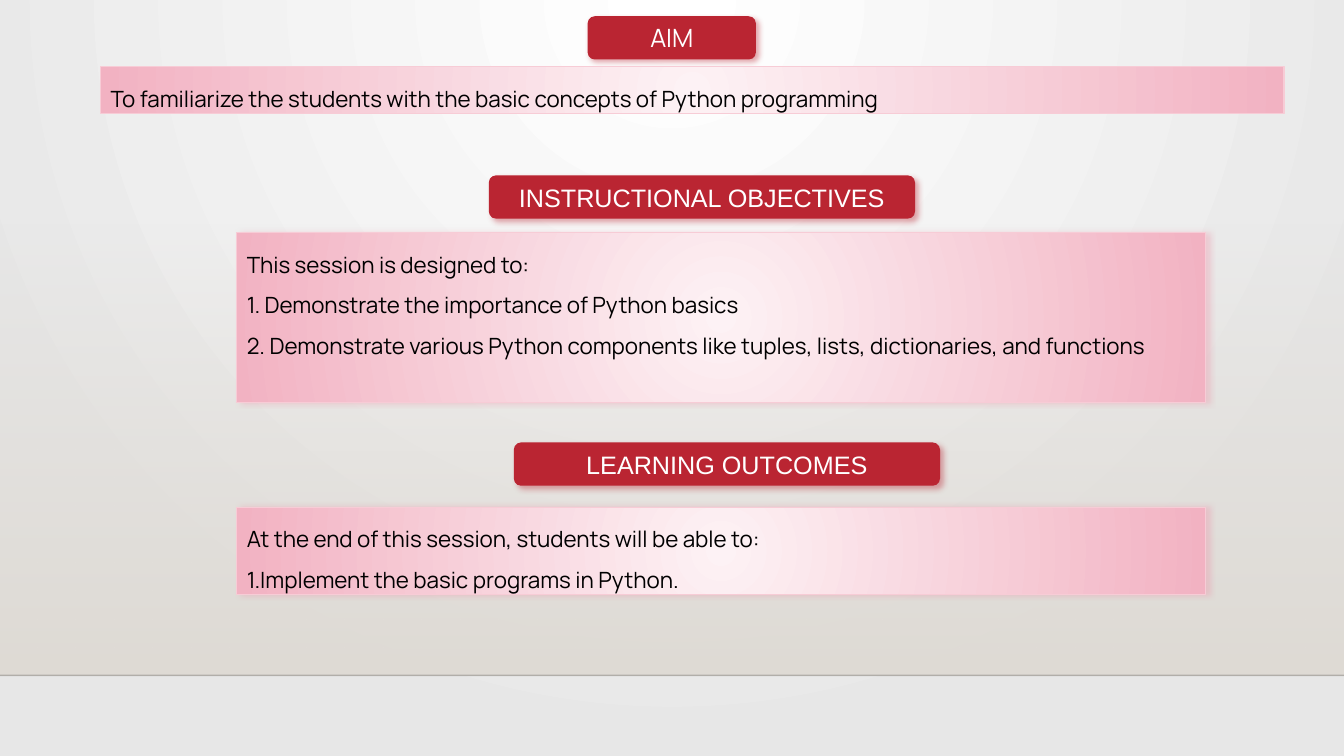
from dataclasses import dataclass
from typing import Optional

from lxml import etree
from pptx import Presentation
from pptx import util as u
from pptx.dml.color import RGBColor
from pptx.enum import shapes, text
from pptx.oxml import parse_xml
from pptx.oxml.ns import nsdecls, qn


@dataclass(frozen=True)
class Theme:
    red: str = "BA2532"
    pink_light: str = "FDF2F5"
    pink: str = "F2B2C2"
    pink_edge: str = "F7CCD6"
    pink_shadow: str = "EE99AD"
    white: str = "FFFFFF"
    black: str = "000000"
    grey: str = "E7E7E7"
    sand: str = "DFDBD5"
    floor_line: str = "000001"
    font: str = "Manrope"
    heading_size: int = 18
    body_size: int = 16


@dataclass(frozen=True)
class Box:
    left: float
    top: float
    width: float
    height: float

    def lengths(self) -> list:
        return [u.Cm(v) for v in (self.left, self.top, self.width, self.height)]


@dataclass(frozen=True)
class Section:
    heading: str
    heading_font: str
    heading_box: Box
    body_box: Box
    lines: tuple
    numbered: tuple = ()
    shadow: bool = True


THEME = Theme()
WIDTH, HEIGHT = 33.87, 19.05
FLOOR = 17.02
BAND_TOP = 5.61
CENTRE = '<a:path path="circle"><a:fillToRect l="{}" t="{}" r="{}" b="{}"/></a:path>'
DOWNWARD = '<a:lin ang="5400000" scaled="0"/>'

SECTIONS = (
    Section("AIM", THEME.font, Box(14.81, 0.41, 4.24, 1.09), Box(2.54, 1.68, 29.82, 1.19),
            ("To familiarize the students with the basic concepts of Python programming",),
            shadow=False),
    Section("INSTRUCTIONAL OBJECTIVES", "Arial",
            Box(12.32, 4.42, 10.74, 1.09), Box(5.97, 5.87, 24.41, 4.27),
            ("This session is designed to:",
             "1. Demonstrate the importance of Python basics",
             "2. Demonstrate various Python components like tuples, lists, "
             "dictionaries, and functions")),
    Section("LEARNING OUTCOMES", "Arial",
            Box(12.95, 11.15, 10.74, 1.09), Box(5.97, 12.78, 24.41, 2.21),
            ("At the end of this session, students will be able to:",),
            numbered=("Implement the basic programs in Python.",)),
)


def rgb(colour: str) -> RGBColor:
    return RGBColor.from_string(colour)


def set_gradient(parent, start: str, end: str, shade: str, start_alpha: int = 100) -> None:
    """Swap the solid fill of parent for a two-stop gradient."""
    gradient = parse_xml(
        f'<a:gradFill {nsdecls("a")} rotWithShape="1"><a:gsLst>'
        f'<a:gs pos="0"><a:srgbClr val="{start}"><a:alpha val="{start_alpha * 1000}"/>'
        f'</a:srgbClr></a:gs><a:gs pos="100000"><a:srgbClr val="{end}"/></a:gs>'
        f'</a:gsLst>{shade}</a:gradFill>')
    parent.replace(parent.find(qn("a:solidFill")), gradient)


def add_shadow(shape, colour: str, angle: int) -> None:
    effects = shape._element.spPr.find(qn("a:effectLst"))
    effects.append(parse_xml(
        f'<a:outerShdw {nsdecls("a")} blurRad="{u.Pt(4)}" dist="{u.Pt(3)}" '
        f'dir="{angle * 60000}" algn="tl" rotWithShape="0"><a:srgbClr val="{colour}">'
        f'<a:alpha val="40000"/></a:srgbClr></a:outerShdw>'))


def add_panel(slide, kind, box: Box, fill: str, edge: Optional[str] = None):
    panel = slide.shapes.add_shape(kind, *box.lengths())
    panel.fill.solid()
    panel.fill.fore_color.rgb = rgb(fill)
    if edge:
        panel.line.color.rgb = rgb(edge)
        panel.line.width = u.Pt(0.75)
    else:
        panel.line.fill.background()
    panel.shadow.inherit = False
    return panel


def style_paragraph(paragraph, align, font: str, size: int, colour: str) -> None:
    paragraph.alignment = align
    paragraph.font.name = font
    paragraph.font.size = u.Pt(size)
    paragraph.font.color.rgb = rgb(colour)


def add_heading(slide, section: Section) -> None:
    heading = add_panel(slide, shapes.MSO_SHAPE.ROUNDED_RECTANGLE,
                        section.heading_box, THEME.red)
    add_shadow(heading, THEME.red, 45)
    frame = heading.text_frame
    frame.word_wrap = True
    frame.vertical_anchor = text.MSO_ANCHOR.MIDDLE
    frame.text = section.heading
    style_paragraph(frame.paragraphs[0], text.PP_ALIGN.CENTER, section.heading_font,
                    THEME.heading_size, THEME.white)


def add_body(slide, section: Section) -> None:
    body = add_panel(slide, shapes.MSO_SHAPE.RECTANGLE, section.body_box,
                     THEME.pink, THEME.pink_edge)
    set_gradient(body._element.spPr, THEME.pink_light, THEME.pink,
                 CENTRE.format(*[50000] * 4))
    if section.shadow:
        add_shadow(body, THEME.pink_shadow, 0)
    frame = body.text_frame
    frame.word_wrap = True
    frame.vertical_anchor = text.MSO_ANCHOR.TOP
    frame.text = "\n".join(section.lines + section.numbered)
    for index, paragraph in enumerate(frame.paragraphs):
        if index >= len(section.lines):
            properties = paragraph._p.get_or_add_pPr()
            properties.set("marL", "0")
            properties.set("indent", str(-u.Cm(0.95)))
            etree.SubElement(properties, qn("a:buFont"), typeface="+mj-lt")
            etree.SubElement(properties, qn("a:buAutoNum"), type="arabicPeriod")
        paragraph.line_spacing = 1.5
        style_paragraph(paragraph, text.PP_ALIGN.LEFT, THEME.font,
                        THEME.body_size, THEME.black)


def add_backdrop(slide) -> None:
    # Page background
    background = slide.background.fill
    background.solid()
    background.fore_color.rgb = rgb(THEME.white)
    set_gradient(slide._element.find(f'.//{qn("p:bgPr")}'), THEME.white, THEME.grey,
                 CENTRE.format(43000, 0, 43000, 100000))
    # Sand band fading in towards the floor
    band = add_panel(slide, shapes.MSO_SHAPE.RECTANGLE,
                     Box(0, BAND_TOP, WIDTH, FLOOR - BAND_TOP), THEME.sand)
    set_gradient(band._element.spPr, THEME.sand, THEME.sand, DOWNWARD, start_alpha=0)
    # Floor line
    floor = slide.shapes.add_connector(shapes.MSO_CONNECTOR.STRAIGHT, u.Cm(0), u.Cm(FLOOR),
                                       u.Cm(WIDTH), u.Cm(FLOOR))
    floor.line.color.rgb = rgb(THEME.floor_line)
    floor.line.width = u.Pt(1)
    properties = floor._element.spPr
    colour = properties.find(f'.//{qn("a:srgbClr")}')
    etree.SubElement(colour, qn("a:alpha"), val="20000")
    etree.SubElement(properties, qn("a:effectLst"))


def main() -> None:
    deck = Presentation()
    deck.slide_width, deck.slide_height = u.Cm(WIDTH), u.Cm(HEIGHT)
    slide = deck.slides.add_slide(deck.slide_layouts[6])
    add_backdrop(slide)
    for section in SECTIONS:
        add_heading(slide, section)
        add_body(slide, section)
    deck.save("out.pptx")


if __name__ == "__main__":
    main()
